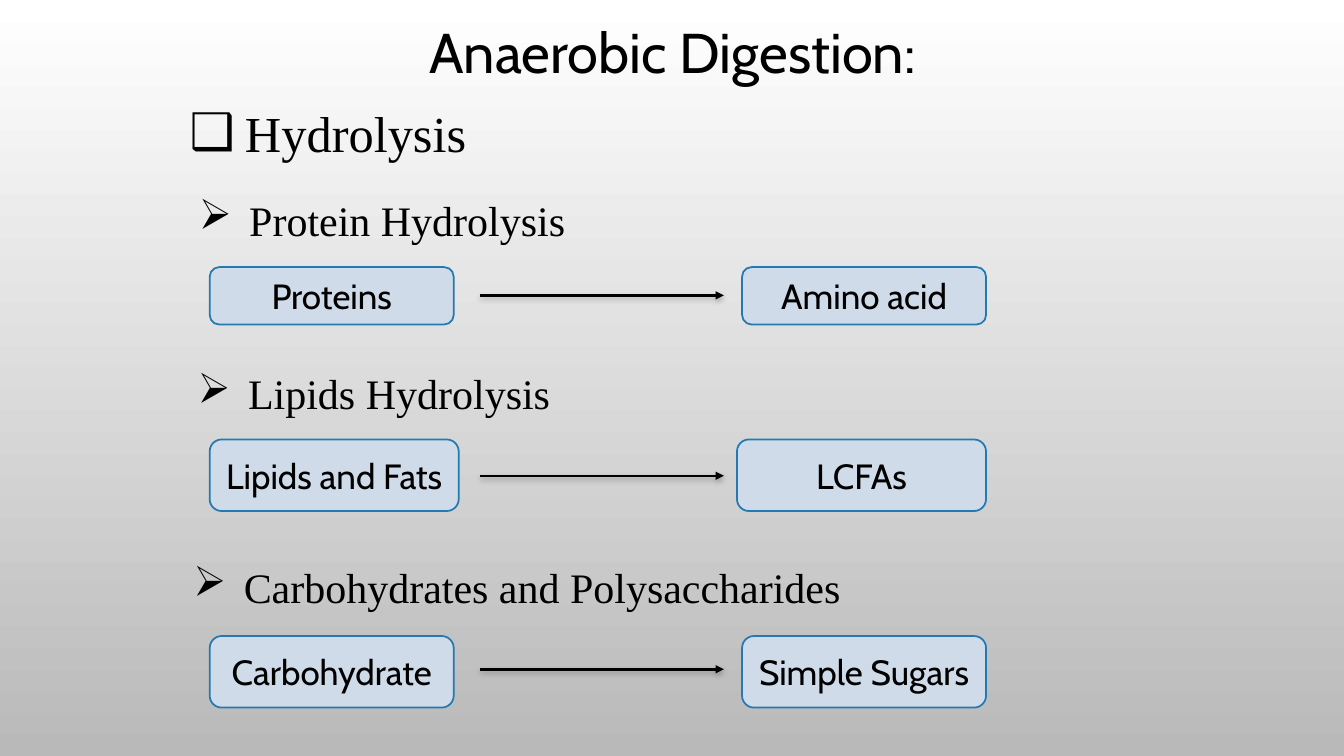
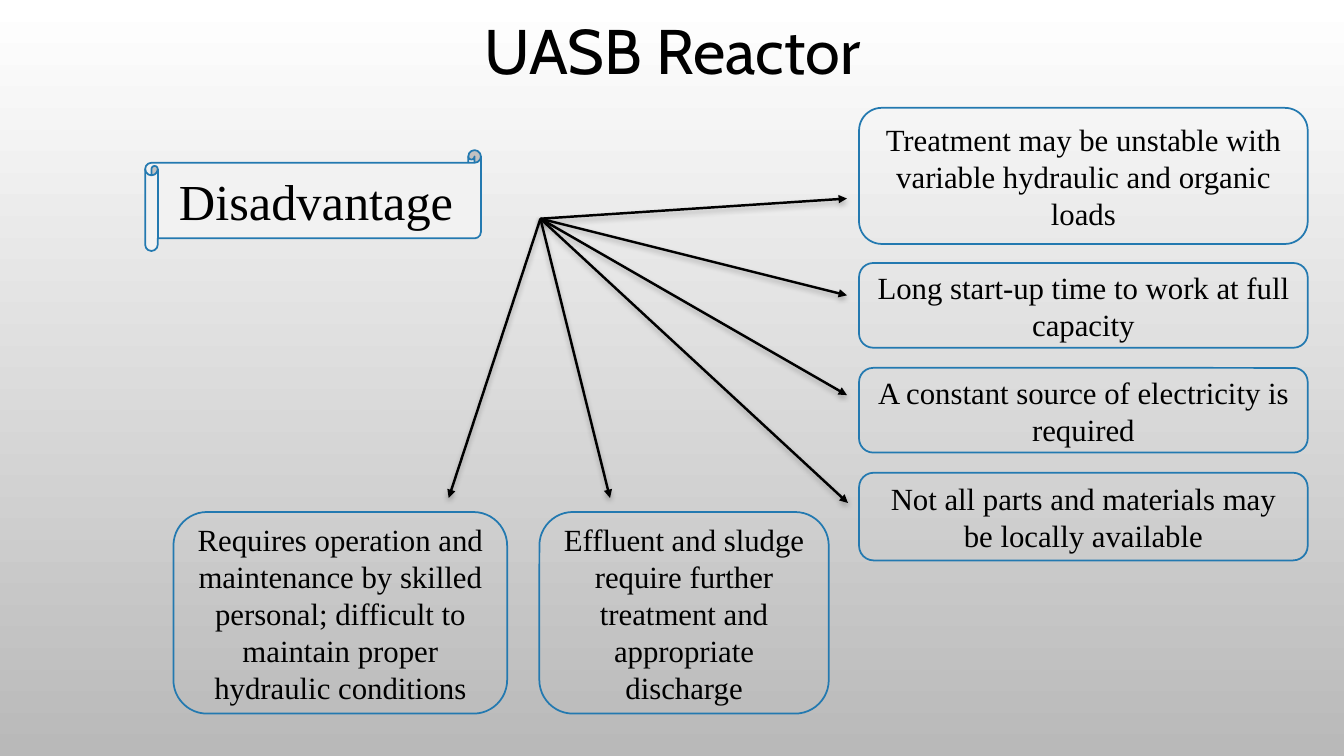
from dataclasses import dataclass

from lxml.etree import SubElement
from pptx import Presentation
from pptx.dml.color import RGBColor
from pptx.enum.shapes import MSO_CONNECTOR, MSO_SHAPE
from pptx.enum.text import MSO_ANCHOR, MSO_AUTO_SIZE, PP_ALIGN
from pptx.oxml.ns import qn
from pptx.util import Inches, Pt


@dataclass(frozen=True)
class Theme:
    ink: RGBColor = RGBColor.from_string("000000")
    outline: RGBColor = RGBColor.from_string("2379B0")
    step_fill: RGBColor = RGBColor.from_string("D0DBE9")
    scroll_fill: RGBColor = RGBColor.from_string("F2F2F2")
    back_top: RGBColor = RGBColor.from_string("FFFFFF")
    back_bottom: RGBColor = RGBColor.from_string("B9B9B9")
    sans: str = "Cabin"
    serif: str = "Times New Roman"
    heading: int = 36
    subheading: int = 30
    step: int = 25
    drawback: int = 22
    outline_width: float = 1.25
    arrow_width: float = 1.75


THEME = Theme()

DIGESTION = {"title": "Anaerobic Digestion:", "size": 40, "at": (2.17, 0.14, 9, 0.73)}
STAGE = {"text": "Hydrolysis", "at": (1.78, 0.96, 2.99, 0.71)}
STEP_LEFT, STEP_RIGHT = 2.08, 9.78
REACTION_START, REACTION_END = 4.76, 7.18
ALTERNATE, ROUNDED = MSO_SHAPE.FLOWCHART_ALTERNATE_PROCESS, MSO_SHAPE.ROUNDED_RECTANGLE
REACTIONS = [
    {"heading": "Protein Hydrolysis", "at": (1.78, 1.88, 4.02, 0.61),
     "steps": ("Proteins", "Amino acid"), "outline": ALTERNATE,
     "top": 2.65, "size": (2.42, 0.57), "arrow": 2.93},
    {"heading": "Lipids Hydrolysis", "at": (1.78, 3.6, 3.86, 0.61),
     "steps": ("Lipids and Fats", "LCFAs"), "outline": ALTERNATE,
     "top": 4.36, "size": (2.47, 0.71), "arrow": 4.72},
    {"heading": "Carbohydrates and Polysaccharides", "at": (1.78, 5.52, 6.7, 0.61),
     "steps": ("Carbohydrate", "Simple Sugars"), "outline": ROUNDED,
     "top": 6.31, "size": (2.42, 0.71), "arrow": 6.64},
]

REACTOR = {"title": "UASB Reactor", "size": 45, "at": (2.92, 0.12, 7.5, 0.74)}
SCROLL = {"text": "Disadvantage", "at": (1.44, 1.49, 3.33, 1)}
FAN_ORIGIN = (5.36, 2.17)
DRAWBACKS = [
    ("Treatment may be unstable with variable hydraulic and organic loads",
     (8.52, 1.07, 4.45, 1.35), (8.4, 1.97)),
    ("Long start-up time to work at full capacity",
     (8.52, 2.61, 4.45, 0.84), (8.4, 2.93)),
    ("A constant source of electricity is required",
     (8.52, 3.65, 4.45, 0.84), (8.4, 3.92)),
    ("Not all parts and materials may be locally available",
     (8.52, 4.69, 4.45, 0.87), (8.41, 4.99)),
    ("Effluent and sludge require further treatment and appropriate discharge",
     (5.35, 5.08, 2.87, 2), (6.05, 4.94)),
    ("Requires operation and maintenance by skilled personal; "
     "difficult to maintain proper hydraulic conditions",
     (1.72, 5.08, 3.31, 2), (4.45, 4.94)),
]


def inches(values):
    return [Inches(value) for value in values]


def set_all(target, formats):
    for name, value in formats.items():
        setattr(target, name, value)


def place(holder, at):
    set_all(holder, dict(zip(("left", "top", "width", "height"), inches(at))))


def write(holder, text, size, font, align=PP_ALIGN.CENTER,
          anchor=MSO_ANCHOR.MIDDLE, bullet=None, indent=0):
    frame = holder.text_frame
    set_all(frame, {"word_wrap": True, "auto_size": MSO_AUTO_SIZE.NONE,
                    "vertical_anchor": anchor})
    paragraph = frame.paragraphs[0]
    set_all(paragraph, {"alignment": align, "space_before": Pt(0)})
    if bullet:
        properties = paragraph._p.get_or_add_pPr()
        properties.set("marL", str(Inches(indent)))
        properties.set("indent", str(-Inches(indent)))
        SubElement(properties, qn("a:buChar"), char=bullet)
    run = paragraph.add_run()
    run.text = text
    set_all(run.font, {"size": Pt(size), "name": font})
    run.font.color.rgb = THEME.ink


def add_panel(slide, outline, at, text, size, font, fill=None):
    panel = slide.shapes.add_shape(outline, *inches(at))
    panel.shadow.inherit = False
    if fill is None:
        panel.fill.background()
    else:
        panel.fill.solid()
        panel.fill.fore_color.rgb = fill
    panel.line.color.rgb = THEME.outline
    panel.line.width = Pt(THEME.outline_width)
    write(panel, text, size, font)


def add_arrow(slide, start, end):
    arrow = slide.shapes.add_connector(MSO_CONNECTOR.STRAIGHT, *inches(start + end))
    arrow.line.color.rgb = THEME.ink
    arrow.line.width = Pt(THEME.arrow_width)
    properties = arrow.element.spPr
    SubElement(properties.find(qn("a:ln")), qn("a:tailEnd"), type="triangle")
    effects = SubElement(properties, qn("a:effectLst"))
    shadow = SubElement(effects, qn("a:outerShdw"), blurRad=str(Pt(4)),
                        dist=str(Pt(2)), dir="5400000", rotWithShape="0")
    shade = SubElement(shadow, qn("a:srgbClr"), val=str(THEME.ink))
    SubElement(shade, qn("a:alpha"), val="28000")


def add_titled_slide(deck, layout, heading):
    slide = deck.slides.add_slide(deck.slide_layouts[layout])
    place(slide.shapes.title, heading["at"])
    write(slide.shapes.title, heading["title"], heading["size"], THEME.sans)
    return slide


def paint_background(master):
    fill = master.background.fill
    fill.gradient()
    fill.gradient_angle = 270
    for stop, colour, position in zip(fill.gradient_stops,
                                      (THEME.back_top, THEME.back_bottom), (0, 1)):
        stop.color.rgb = colour
        stop.position = position


def build_digestion(deck):
    slide = add_titled_slide(deck, 1, DIGESTION)
    stage = slide.placeholders[1]
    place(stage, STAGE["at"])
    write(stage, STAGE["text"], THEME.heading, THEME.serif, PP_ALIGN.LEFT,
          MSO_ANCHOR.TOP, "❑", 0.55)
    for reaction in REACTIONS:
        heading = slide.shapes.add_textbox(*inches(reaction["at"]))
        write(heading, reaction["heading"], THEME.subheading, THEME.serif,
              anchor=MSO_ANCHOR.TOP, bullet="➢", indent=0.5)
        width, height = reaction["size"]
        for text, left in zip(reaction["steps"], (STEP_LEFT, STEP_RIGHT - width)):
            add_panel(slide, reaction["outline"], (left, reaction["top"], width, height),
                      text, THEME.step, THEME.sans, THEME.step_fill)
        add_arrow(slide, (REACTION_START, reaction["arrow"]),
                  (REACTION_END, reaction["arrow"]))


def build_reactor(deck):
    slide = add_titled_slide(deck, 5, REACTOR)
    add_panel(slide, MSO_SHAPE.HORIZONTAL_SCROLL, SCROLL["at"], SCROLL["text"],
              THEME.heading, THEME.serif, THEME.scroll_fill)
    for text, at, tip in DRAWBACKS:
        add_panel(slide, ROUNDED, at, text, THEME.drawback, THEME.serif)
        add_arrow(slide, FAN_ORIGIN, tip)


def main():
    deck = Presentation()
    set_all(deck, {"slide_width": Inches(13.33), "slide_height": Inches(7.5)})
    paint_background(deck.slide_master)
    build_digestion(deck)
    build_reactor(deck)
    deck.save("out.pptx")


if __name__ == "__main__":
    main()
